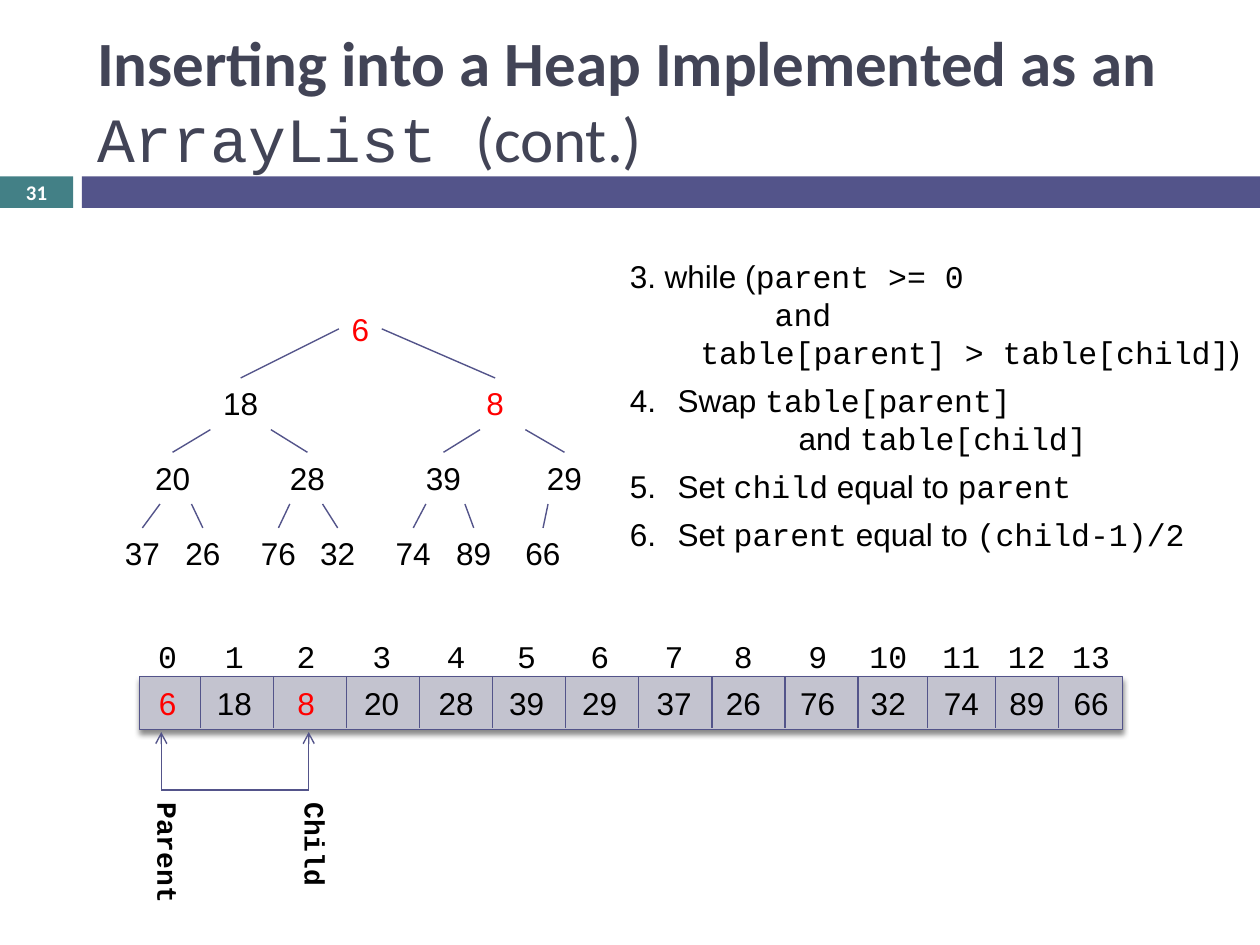
from lxml import etree
from pptx import Presentation
from pptx.dml.color import RGBColor
from pptx.enum import shapes, text
from pptx.oxml import ns
from pptx.util import Inches, Pt

SANS, MONO, HEADING = "Arial", "Courier New", "Calibri"
BLACK, RED, PURPLE = "000000", "FF0000", "53548A"
CENTER, LEFT = text.PP_ALIGN.CENTER, text.PP_ALIGN.LEFT

HEAP = [
    (6, 2.86, (2.69, 3.03)),
    (18, 1.91, (1.67, 2.15)), (8, 3.93, (3.81, 4.17)),
    (20, 1.37, (1.27, 1.52)), (28, 2.44, (2.3, 2.56)),
    (39, 3.52, (3.38, 3.69)), (29, 4.48, (4.35, 4.61)),
    (37, 1.13, ()), (26, 1.61, ()), (76, 2.21, ()), (32, 2.68, ()),
    (74, 3.28, ()), (89, 3.76, ()), (66, 4.31, ()),
]
SWAPPED = (6, 8)
LEVEL_TOPS = [2.41, 3, 3.59, 4.19]
EXIT_HEIGHTS = [2.61, 3.41, 4]
CELL_CENTERS = [1.33, 1.86, 2.43, 3.03, 3.62, 4.18, 4.76,
                5.35, 5.9, 6.49, 7.05, 7.63, 8.15, 8.66]
DIVIDERS = [1.59 + 0.58 * i for i in range(10)] + [7.36, 7.9, 8.4]
ARRAY_TOP, ARRAY_BOTTOM = 5.37, 5.78

STEPS = [
    (None, [0.56, 1.15], [("3. while (", SANS), ("parent >= 0", MONO), "\n",
                          ("\t\tand", MONO), "\n",
                          ("\ttable[parent] > table[child]", MONO), (")", SANS)]),
    (4, [1.34], [("Swap ", SANS), ("table[parent]", MONO), "\n",
                 ("\tand ", SANS), ("table[child]", MONO)]),
    (4, [], [("Set ", SANS), ("child", MONO), (" equal to ", SANS), ("parent", MONO)]),
    (4, [], [("Set ", SANS), ("parent", MONO), (" equal to ", SANS),
             ("(child-1)/2", MONO)]),
]


def rgb(color):
    return RGBColor.from_string(color)


def style(font, size, name, color, bold=False):
    font.size, font.name, font.bold = Pt(size), name, bold
    font.color.rgb = rgb(color)


def add_child(parent, tag, **attributes):
    child = etree.SubElement(parent, ns.qn(tag))
    for key, value in attributes.items():
        child.set(key, str(value))
    return child


def add_bar(slide, left, top, width, height, fill, outline=None):
    bar = slide.shapes.add_shape(shapes.MSO_SHAPE.RECTANGLE, Inches(left),
                                 Inches(top), Inches(width), Inches(height))
    bar.shadow.inherit = False
    bar.fill.solid()
    bar.fill.fore_color.rgb = rgb(fill)
    if outline:
        bar.line.color.rgb = rgb(outline)
        bar.line.width = Pt(0.79)
    else:
        bar.line.fill.background()
    return bar


def add_drop_shadow(bar):
    effects = bar._element.spPr.find(ns.qn("a:effectLst"))
    shadow = add_child(effects, "a:outerShdw", blurRad=Pt(3), dist=Pt(2.4),
                       dir=90 * 60000, rotWithShape=0)
    color = add_child(shadow, "a:srgbClr", val=BLACK)
    add_child(color, "a:alpha", val=45000)


def add_line(slide, x1, y1, x2, y2, arrow=False):
    line = slide.shapes.add_connector(shapes.MSO_CONNECTOR.STRAIGHT, Inches(x1),
                                      Inches(y1), Inches(x2), Inches(y2))
    line.line.color.rgb = rgb(PURPLE)
    line.line.width = Pt(0.79)
    if arrow:
        add_child(line.line._get_or_add_ln(), "a:tailEnd", type="arrow")
    add_child(line._element.spPr, "a:effectLst")


def add_box(slide, left, top, width, height, wrap=False):
    box = slide.shapes.add_textbox(Inches(left), Inches(top),
                                   Inches(width), Inches(height))
    box.text_frame.word_wrap = wrap
    return box.text_frame


def add_label(slide, center, top, value, font=SANS, color=BLACK):
    label = add_box(slide, center - 0.25, top, 0.5, 0.4).paragraphs[0]
    label.text = str(value)
    label.alignment = CENTER
    style(label.font, 18, font, color)


def value_color(value):
    return RED if value in SWAPPED else BLACK


def add_title(slide):
    title = slide.shapes.title
    title.left, title.top = Inches(0.67), Inches(0.25)
    title.width, title.height = Inches(8.92), Inches(1.08)
    frame = title.text_frame
    frame.auto_size = text.MSO_AUTO_SIZE.NONE
    frame.vertical_anchor = text.MSO_ANCHOR.MIDDLE
    heading = frame.paragraphs[0]
    heading.alignment = LEFT
    for words, font, bold in [
        ("Inserting into a Heap Implemented as an ", HEADING, True),
        ("ArrayList ", MONO, False),
        ("(cont.)", HEADING, False),
    ]:
        run = heading.add_run()
        run.text = words
        style(run.font, 36, font, "424456", bold)


def add_page_number(slide):
    frame = add_box(slide, 0, 1.39, 0.58, 0.27, wrap=True)
    frame.vertical_anchor = text.MSO_ANCHOR.MIDDLE
    number = frame.paragraphs[0]
    number.text = "31"
    number.alignment = CENTER
    style(number.font, 11.9, HEADING, "FFFFFF", True)


def add_heap(slide):
    for i, (value, center, _) in enumerate(HEAP):
        level = (i + 1).bit_length() - 1
        add_label(slide, center, LEVEL_TOPS[level], value, color=value_color(value))
        if i:
            exits = HEAP[(i - 1) // 2][2]
            add_line(slide, exits[(i - 1) % 2], EXIT_HEIGHTS[level - 1],
                     center, LEVEL_TOPS[level])


def add_array(slide):
    add_drop_shadow(add_bar(slide, 1.11, ARRAY_TOP, 7.8, 0.42, "C3C3CF", PURPLE))
    for x in DIVIDERS:
        add_line(slide, x, ARRAY_TOP, x, ARRAY_BOTTOM)
    for index, (center, (value, _, _)) in enumerate(zip(CELL_CENTERS, HEAP)):
        add_label(slide, center, 5.01, index, MONO)
        add_label(slide, center, 5.38, value, color=value_color(value))


def add_steps(slide):
    frame = add_box(slide, 4.9, 1.99, 5.24, 2.47, wrap=True)
    for i, (start, tabs, parts) in enumerate(STEPS):
        step = frame.add_paragraph() if i else frame.paragraphs[0]
        step.space_after = Pt(6)
        properties = step._p.get_or_add_pPr()
        if start:
            properties.set("marL", str(Inches(0.38)))
            properties.set("indent", str(-Inches(0.38)))
            add_child(properties, "a:buFont", typeface=SANS)
            add_child(properties, "a:buAutoNum", type="arabicPeriod", startAt=start)
        if tabs:
            stops = add_child(properties, "a:tabLst")
            for position in tabs:
                add_child(stops, "a:tab", pos=Inches(position), algn="l")
        for part in parts:
            if part == "\n":
                step.add_line_break()
                continue
            run = step.add_run()
            run.text, font = part
            style(run.font, 18, font, BLACK)


def add_pointer(slide, name, x, height):
    frame = add_box(slide, x - 0.23, 6.27, 0.47, height)
    frame._txBody.bodyPr.set("vert", "vert")
    label = frame.paragraphs[0]
    label.text = name
    style(label.font, 16, MONO, BLACK, True)
    add_line(slide, x, 6.27, x, 5.81, arrow=True)


def main():
    deck = Presentation()
    deck.slide_width, deck.slide_height = Inches(10), Inches(7.5)
    slide = deck.slides.add_slide(deck.slide_layouts[5])
    add_bar(slide, 0, 1.4, 0.58, 0.25, "438086")
    add_bar(slide, 0.65, 1.4, 9.35, 0.25, PURPLE)
    add_title(slide)
    add_heap(slide)
    add_array(slide)
    add_steps(slide)
    add_pointer(slide, "Child", 2.45, 0.78)
    add_pointer(slide, "Parent", 1.28, 0.91)
    add_line(slide, 1.28, 6.27, 2.45, 6.27)
    add_page_number(slide)
    deck.save("out.pptx")


if __name__ == "__main__":
    main()
